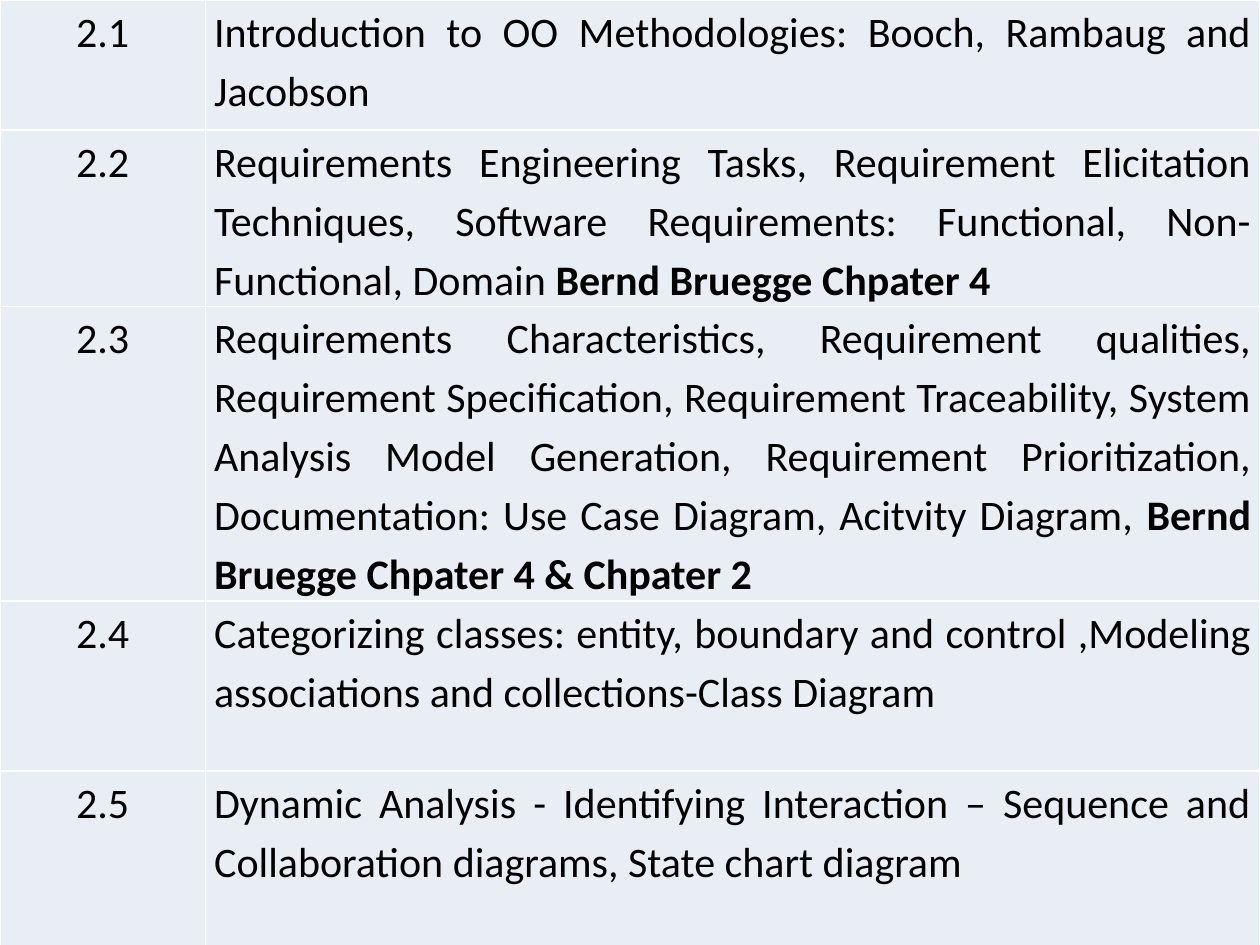
from lxml import etree
from pptx import Presentation
from pptx.dml.color import RGBColor
from pptx.enum.text import PP_ALIGN as Align
from pptx.oxml.ns import qn
from pptx.util import Inches, Pt

BLACK = RGBColor(0x00, 0x00, 0x00)
WHITE = RGBColor(0xFF, 0xFF, 0xFF)
PALE_BLUE = RGBColor(0xE9, 0xED, 0xF4)

COLUMN_WIDTHS = [1.63, 8.37]
# Row height, topic number, topic text, bold book reference
TOPICS = [
    (1.03, "2.1", "Introduction to OO Methodologies: Booch, Rambaug and Jacobson", ""),
    (1.4, "2.2", "Requirements Engineering Tasks, Requirement Elicitation Techniques, "
     "Software Requirements: Functional, Non-Functional, Domain ",
     "Bernd Bruegge Chpater 4"),
    (2.33, "2.3", "Requirements Characteristics, Requirement qualities, "
     "Requirement Specification, Requirement Traceability, System Analysis Model "
     "Generation, Requirement Prioritization, Documentation: Use Case Diagram, "
     "Acitvity Diagram, ", "Bernd Bruegge Chpater 4 & Chpater 2"),
    (1.35, "2.4", "Categorizing classes: entity, boundary and control ,Modeling "
     "associations and collections-Class Diagram", ""),
    (1.39, "2.5", "Dynamic Analysis - Identifying Interaction – Sequence and "
     "Collaboration diagrams, State chart diagram", ""),
]


def write_cell(cell, text, bold_text="", align=Align.LEFT, size=24,
               font="Calibri", color=BLACK):
    """Write the text, followed by an optional bold ending."""
    p = cell.text_frame.paragraphs[0]
    p.alignment = align
    p.line_spacing = 1.15
    for part, bold in ((text, False), (bold_text, True)):
        if part:
            r = p.add_run()
            r.text = part
            r.font.name = font
            r.font.size = Pt(size)
            r.font.bold = bold
            r.font.color.rgb = color


def style_cell(cell, fill, border):
    cell.margin_left = cell.margin_right = Inches(0.07)
    cell.margin_top = cell.margin_bottom = 0
    cell.fill.solid()
    cell.fill.fore_color.rgb = fill
    tcPr = cell._tc.get_or_add_tcPr()
    # Borders must come before the fill
    for i, side in enumerate(("a:lnL", "a:lnR", "a:lnT", "a:lnB")):
        ln = etree.Element(qn(side), w=str(Pt(1)))
        solid = etree.SubElement(ln, qn("a:solidFill"))
        etree.SubElement(solid, qn("a:srgbClr"), val=str(border))
        tcPr.insert(i, ln)


prs = Presentation()
prs.slide_width = Inches(10)
prs.slide_height = Inches(7.5)
slide = prs.slides.add_slide(prs.slide_layouts[6])

table = slide.shapes.add_table(len(TOPICS), len(COLUMN_WIDTHS), 0, 0,
                               Inches(10), Inches(7.5)).table
table.first_row = False
table.horz_banding = False
for column, width in zip(table.columns, COLUMN_WIDTHS):
    column.width = Inches(width)

for row, (height, number, topic, reference) in zip(table.rows, TOPICS):
    row.height = Inches(height)
    number_cell, topic_cell = row.cells
    write_cell(number_cell, number, align=Align.CENTER)
    write_cell(topic_cell, topic, bold_text=reference, align=Align.JUSTIFY)
    for cell in (number_cell, topic_cell):
        style_cell(cell, PALE_BLUE, WHITE)

prs.save("out.pptx")
